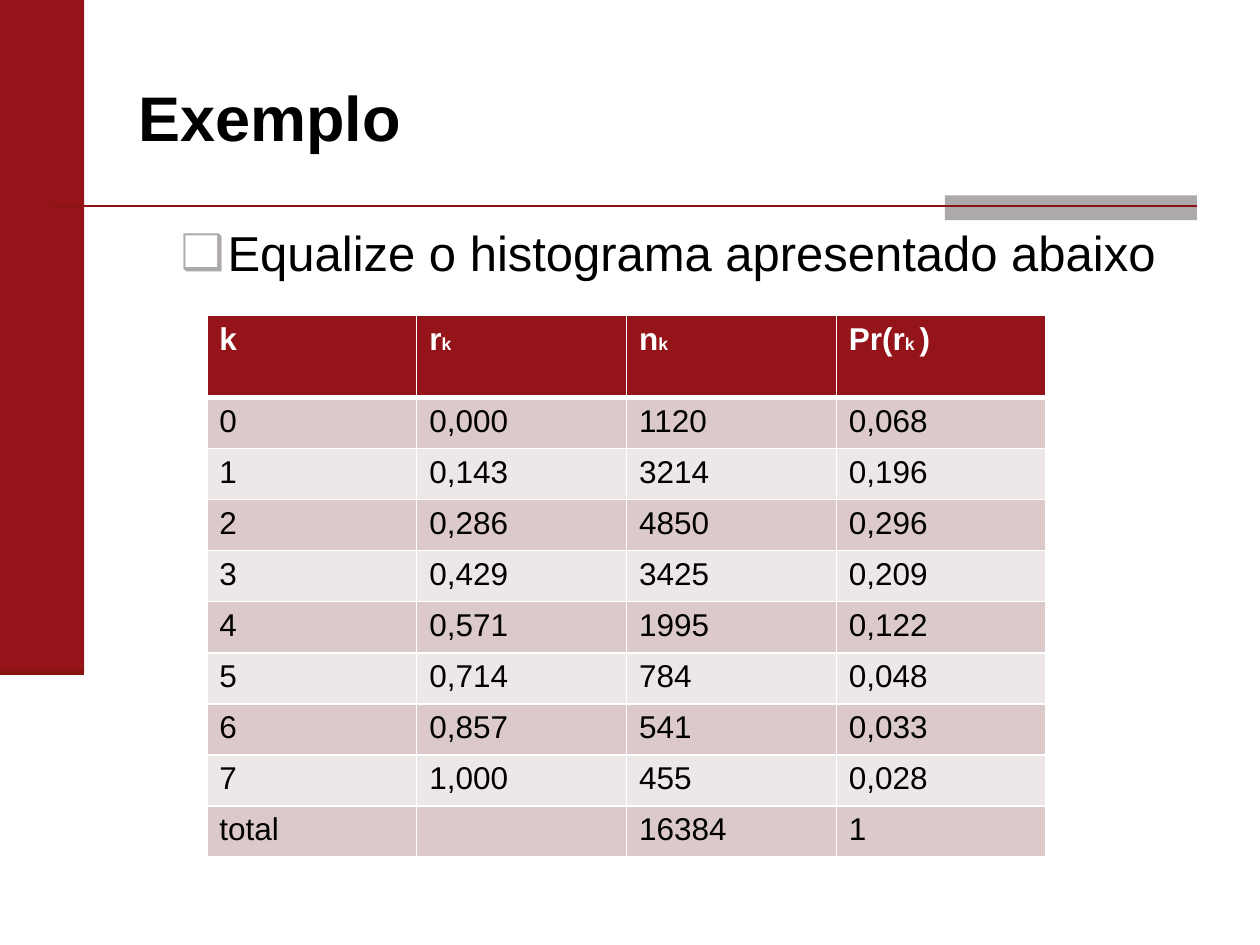
from lxml import etree
from pptx import Presentation
from pptx.dml.color import RGBColor
from pptx.enum.shapes import MSO_CONNECTOR, MSO_SHAPE
from pptx.enum.text import MSO_ANCHOR, PP_ALIGN
from pptx.oxml.ns import qn
from pptx.util import Cm, Pt

RECT = MSO_SHAPE.RECTANGLE
STRAIGHT = MSO_CONNECTOR.STRAIGHT
MIDDLE = MSO_ANCHOR.MIDDLE
JUSTIFY = PP_ALIGN.JUSTIFY

HEADER = [["k"], ["r", "k"], ["n", "k"], ["Pr(r", "k ", ")"]]
LEVELS = [
    ("0", "0,000", "1120", "0,068"),
    ("1", "0,143", "3214", "0,196"),
    ("2", "0,286", "4850", "0,296"),
    ("3", "0,429", "3425", "0,209"),
    ("4", "0,571", "1995", "0,122"),
    ("5", "0,714", "784", "0,048"),
    ("6", "0,857", "541", "0,033"),
    ("7", "1,000", "455", "0,028"),
    ("total", "", "16384", "1"),
]


def color(value):
    return RGBColor.from_string(value)


class SlideBuilder:
    font = "Arial"
    red, dark_red, gray = "94141A", "891411", "ADA9AB"
    black, white = "000000", "FFFFFF"
    bands = ("DCCACB", "EEE7E7")

    def __init__(self, slide):
        self.s = slide

    def style(self, r, size, fill, bold=False):
        r.font.name = self.font
        r.font.size = Pt(size)
        r.font.bold = bold
        r.font.color.rgb = color(fill)

    def rect(self, x, y, w, h, fill):
        sp = self.s.shapes.add_shape(RECT, Cm(x), Cm(y), Cm(w), Cm(h))
        sp.shadow.inherit = False
        sp.fill.solid()
        sp.fill.fore_color.rgb = color(fill)
        sp.line.fill.background()

    def rule(self, x1, x2, y, width):
        line = self.s.shapes.add_connector(STRAIGHT, Cm(x1), Cm(y), Cm(x2), Cm(y))
        line.line.color.rgb = color(self.dark_red)
        line.line.width = Pt(width)
        etree.SubElement(line._element.spPr, qn("a:effectLst"))

    def text(self, x, y, w, h, text, size, bold=False):
        sp = self.s.shapes.add_textbox(Cm(x), Cm(y), Cm(w), Cm(h))
        tf = sp.text_frame
        tf.word_wrap = True
        tf.text = text
        self.style(tf.paragraphs[0].runs[0], size, self.black, bold)
        return tf

    def bullet(self, p, char, indent):
        pPr = p._p.get_or_add_pPr()
        pPr.set("marL", str(Cm(indent)))
        pPr.set("indent", str(-Cm(indent)))
        clr = etree.SubElement(pPr, qn("a:buClr"))
        etree.SubElement(clr, qn("a:srgbClr"), val=self.gray)
        etree.SubElement(pPr, qn("a:buFont"), typeface=self.font)
        etree.SubElement(pPr, qn("a:buChar"), char=char)

    def borders(self, cell, top, bottom):
        """Draw white cell edges; top and bottom are widths in points."""
        tcPr = cell._tc.get_or_add_tcPr()
        for side, width in (("L", 1), ("R", 1), ("T", top), ("B", bottom)):
            ln = etree.SubElement(tcPr, qn(f"a:ln{side}"), w=str(Pt(width)))
            fill = etree.SubElement(ln, qn("a:solidFill"))
            etree.SubElement(fill, qn("a:srgbClr"), val=self.white)

    def table(self, x, y, col_w, header_h, row_h, header, rows):
        n_rows, n_cols = len(rows) + 1, len(header)
        height = header_h + row_h * len(rows)
        frame = self.s.shapes.add_table(
            n_rows, n_cols, Cm(x), Cm(y), Cm(col_w * n_cols), Cm(height))
        table = frame.table
        for col in table.columns:
            col.width = Cm(col_w)
        for i, row in enumerate(table.rows):
            row.height = Cm(row_h if i else header_h)
            for j, cell in enumerate(row.cells):
                self.borders(cell, 3 if i == 1 else 1, 1 if i else 3)
                cell.fill.solid()
                fill = self.bands[(i - 1) % 2] if i else self.red
                cell.fill.fore_color.rgb = color(fill)
                p = cell.text_frame.paragraphs[0]
                parts = [rows[i - 1][j]] if i else header[j]
                for n, part in enumerate(parts):
                    if part:
                        r = p.add_run()
                        r.text = part
                        # Every second header part is a small index
                        self.style(r, 10 if n % 2 else 18,
                                   self.black if i else self.white, not i)


def main():
    prs = Presentation()
    prs.slide_width, prs.slide_height = Cm(25.4), Cm(19.05)
    b = SlideBuilder(prs.slides.add_slide(prs.slide_layouts[6]))

    b.rect(0, 0, 1.7, 13.55, b.red)
    b.rect(19.05, 3.94, 5.08, 0.5, b.gray)
    b.rule(1.06, 24.13, 4.15, 1.5)
    b.rule(0, 1.7, 13.55, 3.5)

    title = b.text(2.54, 0.76, 21.59, 3.18, "Exemplo", 36, bold=True)
    title.vertical_anchor = MIDDLE
    title.paragraphs[0].alignment = JUSTIFY
    body = b.text(3.39, 4.37, 22.01, 13.89,
                  "Equalize o histograma apresentado abaixo", 28)
    b.bullet(body.paragraphs[0], "❑", 0.95)

    b.table(4.17, 6.36, 4.23, 1.65, 1.03, HEADER, LEVELS)
    prs.save("out.pptx")


if __name__ == "__main__":
    main()
